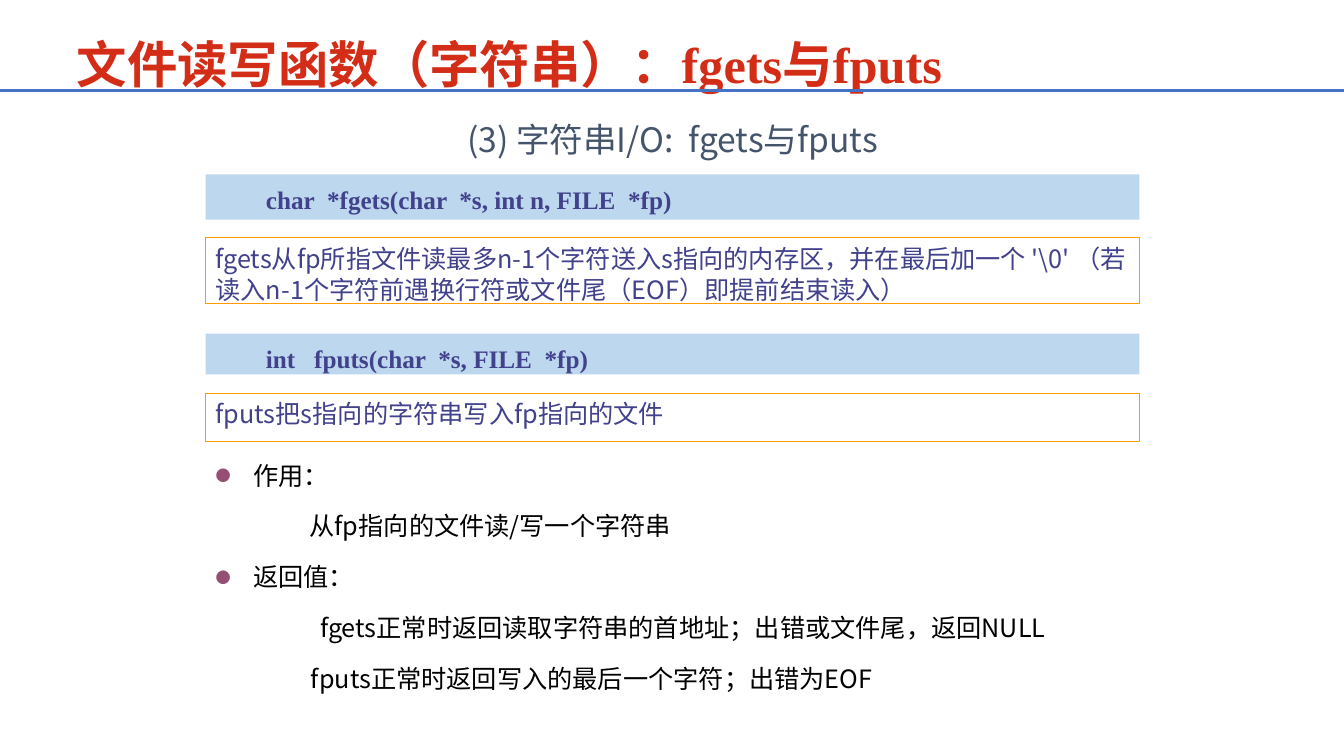
from dataclasses import dataclass
from lxml.etree import SubElement
from pptx import Presentation
from pptx.dml.color import RGBColor
from pptx.enum.shapes import MSO_CONNECTOR, MSO_SHAPE
from pptx.enum.text import MSO_ANCHOR, MSO_AUTO_SIZE, PP_ALIGN
from pptx.oxml.ns import qn
from pptx.util import Inches, Pt


@dataclass(frozen=True)
class Theme:
    """Colours, fonts, type sizes and the 100 by 100 grid of the slide."""
    red: str = "D32D17"
    blue: str = "4472C4"
    pale: str = "BDD7EE"
    white: str = "FFFFFF"
    orange: str = "FF9900"
    indigo: str = "41418C"
    slate: str = "44546A"
    plum: str = "954F72"
    black: str = "000000"
    serif: str = "Times New Roman"
    sans: str = "Noto Sans CJK SC"
    head: int = 36
    sub: int = 24
    text: int = 18
    col: float = 13.33 / 100
    row: float = 7.5 / 100
    left: float = 15.3
    width: float = 69.47


THEME = Theme()
CODE = [
    (23.07, 6, "char  *fgets(char  *s, int n, FILE  *fp)"),
    (44.13, 5.4, "int   fputs(char  *s, FILE  *fp)"),
]
NOTES = [
    (31.47, 8.67, "fgets从fp所指文件读最多n-1个字符送入s指向的内存区，并在最后加一个 '\\0' "
                  "（若读入n-1个字符前遇换行符或文件尾（EOF）即提前结束读入）"),
    (52, 6.4, "fputs把s指向的字符串写入fp指向的文件"),
]
POINTS = [
    ("作用：", 2.8, True),
    ("从fp指向的文件读/写一个字符串", 7, False),
    ("返回值：", 2.8, True),
    ("fgets正常时返回读取字符串的首地址；出错或文件尾，返回NULL", 7.8, False),
    ("fputs正常时返回写入的最后一个字符；出错为EOF", 7.1, False),
]


def cols(count):
    """Return the width of a number of columns."""
    return Inches(count * THEME.col)


def rows(count):
    """Return the height of a number of rows."""
    return Inches(count * THEME.row)


def paint(para, size, tint, font=THEME.sans, bold=False):
    """Format every run of a paragraph."""
    for run in para.runs:
        run.font.size = Pt(size)
        run.font.name = font
        run.font.bold = bold
        run.font.color.rgb = RGBColor.from_string(tint)
        SubElement(run.font._element, qn("a:ea"), typeface=THEME.sans)


def indent(para, margin, first=0):
    """Set the left margin and first line of a paragraph in columns."""
    props = para._p.get_or_add_pPr()
    props.set("marL", str(cols(margin)))
    props.set("indent", str(cols(first)))
    return props


def dot(props):
    """Add a small round bullet to paragraph properties."""
    tint = SubElement(props, qn("a:buClr"))
    SubElement(tint, qn("a:srgbClr"), val=THEME.plum)
    SubElement(props, qn("a:buSzPct"), val="60000")
    SubElement(props, qn("a:buFont"), typeface=THEME.sans)
    SubElement(props, qn("a:buChar"), char="●")


def title(slide, text):
    """Fill and place the title."""
    shape = slide.shapes.title
    shape.left, shape.top = cols(4.95), rows(4.13)
    shape.width, shape.height = cols(79.37), rows(8.4)
    frame = shape.text_frame
    frame.text = text
    frame.auto_size = MSO_AUTO_SIZE.NONE
    frame.vertical_anchor = MSO_ANCHOR.BOTTOM
    frame.margin_bottom = Inches(0.01)
    para = frame.paragraphs[0]
    para.alignment = PP_ALIGN.LEFT
    paint(para, THEME.head, THEME.red, THEME.serif, True)


def rule(slide, top):
    """Draw a line across the slide."""
    line = slide.shapes.add_connector(
        MSO_CONNECTOR.STRAIGHT, 0, rows(top), cols(100), rows(top))
    line.line.color.rgb = RGBColor.from_string(THEME.blue)
    line.line.width = Pt(2.25)
    SubElement(line._element.spPr, qn("a:effectLst"))


def label(slide, top, height):
    """Add a text box in the main column and return its frame."""
    frame = slide.shapes.add_textbox(
        cols(THEME.left), rows(top), cols(THEME.width), rows(height)).text_frame
    frame.word_wrap = True
    return frame


def panel(slide, top, height, text, fill, edge=None):
    """Add a filled bar with text and return its paragraph."""
    shape = slide.shapes.add_shape(
        MSO_SHAPE.RECTANGLE, cols(THEME.left), rows(top),
        cols(THEME.width), rows(height))
    shape.shadow.inherit = False
    shape.fill.solid()
    shape.fill.fore_color.rgb = RGBColor.from_string(fill)
    if edge:
        shape.line.color.rgb = RGBColor.from_string(edge)
        shape.line.width = Pt(0.75)
    else:
        shape.line.fill.background()
    frame = shape.text_frame
    frame.text = text
    frame.word_wrap = True
    frame.vertical_anchor = MSO_ANCHOR.TOP
    para = frame.paragraphs[0]
    para.alignment = PP_ALIGN.LEFT
    return para


def code(slide, top, height, text):
    """Add a bar with a function head."""
    para = panel(slide, top, height, text, THEME.pale)
    indent(para, 3.75)
    para.line_spacing = 1.15
    paint(para, THEME.text, THEME.indigo, THEME.serif, True)


def note(slide, top, height, text):
    """Add a framed note on a function."""
    para = panel(slide, top, height, text, THEME.white, THEME.orange)
    para.line_spacing = Pt(22)
    paint(para, THEME.text, THEME.indigo)


def points(slide, top, height, items):
    """Add the list of points and their indented lines."""
    frame = label(slide, top, height)
    for place, (text, margin, mark) in enumerate(items):
        para = frame.add_paragraph() if place else frame.paragraphs[0]
        para.text = text
        props = indent(para, margin, -margin if mark else 0)
        if mark:
            dot(props)
        para.line_spacing = Pt(32.7)
        if place:
            para.space_before = Pt(3.6)
        paint(para, THEME.text, THEME.black)


def main():
    """Build the slide and save it."""
    deck = Presentation()
    deck.slide_width, deck.slide_height = cols(100), rows(100)
    slide = deck.slides.add_slide(deck.slide_layouts[5])
    rule(slide, 12)
    title(slide, "文件读写函数（字符串）：fgets与fputs")
    points(slide, 58.13, 35.2, POINTS)
    frame = label(slide, 14.8, 6.5)
    frame.text = "(3) 字符串I/O:  fgets与fputs"
    para = frame.paragraphs[0]
    para.alignment = PP_ALIGN.CENTER
    para.line_spacing = Pt(30)
    paint(para, THEME.sub, THEME.slate)
    for item in NOTES:
        note(slide, *item)
    for item in CODE:
        code(slide, *item)
    deck.save("out.pptx")


if __name__ == "__main__":
    main()
